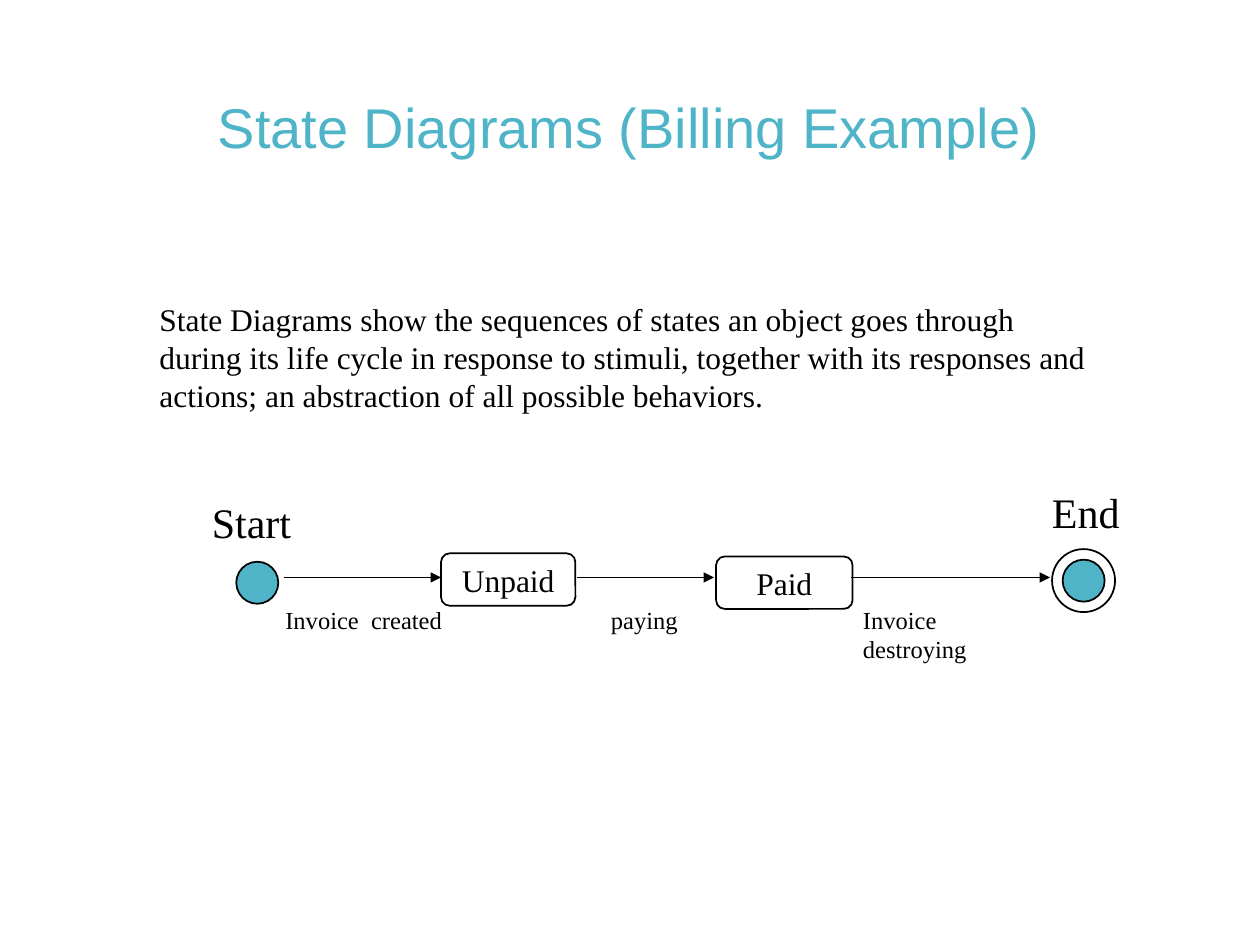
import dataclasses

import lxml.etree
import pptx
import pptx.dml.color
import pptx.enum.shapes
import pptx.enum.text
import pptx.oxml.ns
import pptx.util

HUES = {"ink": "000000", "teal": "50B4C8"}
FONT = "Times New Roman"
UNIT = pptx.util.Inches(1) / 12  # grid: 120 columns by 90 rows
AXIS = 55  # row of the arrows

Kind = pptx.enum.shapes.MSO_SHAPE
Fit = pptx.enum.text.MSO_AUTO_SIZE
Align = pptx.enum.text.PP_ALIGN
Anchor = pptx.enum.text.MSO_ANCHOR


@dataclasses.dataclass
class Box:
    col: float
    row: float
    wide: float
    high: float

    def place(self) -> list:
        return [grid(n) for n in (self.col, self.row, self.wide, self.high)]


@dataclasses.dataclass
class Label:
    text: str
    box: Box
    size: int
    gap: float = 0
    wrap: bool = True


@dataclasses.dataclass
class State:
    name: str
    box: Box


@dataclasses.dataclass
class Dot:
    box: Box
    fill: bool = True


@dataclasses.dataclass
class Arrow:
    start: float
    end: float


def grid(n: float) -> int:
    return round(n * UNIT)


def hue(name: str) -> pptx.dml.color.RGBColor:
    return pptx.dml.color.RGBColor.from_string(HUES[name])


def style(font, size: int, face: str = FONT, tint: str = "ink") -> None:
    font.name = face
    font.size = pptx.util.Pt(size)
    font.bold = False
    font.color.rgb = hue(tint)


def add_title(slide, text: str, box: Box) -> None:
    title = slide.shapes.title
    title.left, title.top, title.width, title.height = box.place()
    frame = title.text_frame
    frame.text = text
    frame.auto_size = Fit.NONE
    frame.vertical_anchor = Anchor.MIDDLE
    frame.margin_left = pptx.util.Inches(0.47)
    para = frame.paragraphs[0]
    para.alignment = Align.LEFT
    para.line_spacing = 0.9
    style(para.font, 32, "Arial", "teal")


def add_label(slide, label: Label) -> None:
    frame = slide.shapes.add_textbox(*label.box.place()).text_frame
    frame.word_wrap = label.wrap
    frame.auto_size = Fit.SHAPE_TO_FIT_TEXT
    frame.text = label.text
    para = frame.paragraphs[0]
    para.space_before = pptx.util.Pt(label.gap)
    style(para.font, label.size)


def add_form(slide, kind, box: Box, fill: bool):
    form = slide.shapes.add_shape(kind, *box.place())
    form.shadow.inherit = False
    form.line.color.rgb = hue("ink")
    form.line.width = pptx.util.Pt(1)
    if fill:
        form.fill.solid()
        form.fill.fore_color.rgb = hue("teal")
    else:
        form.fill.background()
    return form


def add_state(slide, state: State) -> None:
    form = add_form(slide, Kind.FLOWCHART_ALTERNATE_PROCESS, state.box, False)
    frame = form.text_frame
    frame.word_wrap = False
    frame.vertical_anchor = Anchor.MIDDLE
    frame.text = state.name
    para = frame.paragraphs[0]
    para.alignment = Align.CENTER
    style(para.font, 18)


def add_arrow(slide, arrow: Arrow) -> None:
    line = slide.shapes.add_connector(
        pptx.enum.shapes.MSO_CONNECTOR.STRAIGHT,
        grid(arrow.start), grid(AXIS), grid(arrow.end), grid(AXIS))
    line.line.color.rgb = hue("ink")
    line.line.width = pptx.util.Pt(0.75)
    name = pptx.oxml.ns.qn
    tip = lxml.etree.SubElement(line.line._get_or_add_ln(), name("a:tailEnd"))
    tip.set("type", "triangle")
    lxml.etree.SubElement(line._element.spPr, name("a:effectLst"))


INTRO = Label(
    "State Diagrams show the sequences of states an object goes through "
    "during its life cycle in response to stimuli, together with its "
    "responses and actions; an abstraction of all possible behaviors.",
    Box(14, 28, 92, 12), 18, 11.2)
STATES = [
    State("Unpaid", Box(42, 52.7, 12.8, 5)),
    State("Paid", Box(68.2, 53, 13, 5)),
]
DOTS = [
    Dot(Box(22.5, 53.5, 4, 4)),
    Dot(Box(101.2, 53.3, 4, 4)),
    Dot(Box(100.2, 52.3, 6, 6), False),
]
ENDS = [
    Label("Start", Box(19, 46.7, 13, 6), 24, 15),
    Label("End", Box(99, 45.7, 9, 6), 24, 15),
]
ARROWS = [Arrow(27, 42), Arrow(55, 68), Arrow(81, 100)]
EVENTS = [
    Label("Invoice  created", Box(26, 57, 17.3, 4), 14, wrap=False),
    Label("paying", Box(57, 57, 8.8, 4), 14),
    Label("Invoice destroying", Box(81, 57, 19.8, 4), 14, wrap=False),
]


def main() -> None:
    deck = pptx.Presentation()
    deck.slide_width, deck.slide_height = grid(120), grid(90)
    slide = deck.slides.add_slide(deck.slide_layouts[5])

    # Title and definition
    add_title(slide, "State Diagrams (Billing Example)",
              Box(15.1, 2.8, 97.9, 19.2))
    add_label(slide, INTRO)

    # States with start and end marks
    for state in STATES:
        add_state(slide, state)
    for dot in DOTS:
        add_form(slide, Kind.OVAL, dot.box, dot.fill)

    # Transitions and captions
    for arrow in ARROWS:
        add_arrow(slide, arrow)
    for label in ENDS + EVENTS:
        add_label(slide, label)

    deck.save("out.pptx")


if __name__ == "__main__":
    main()
